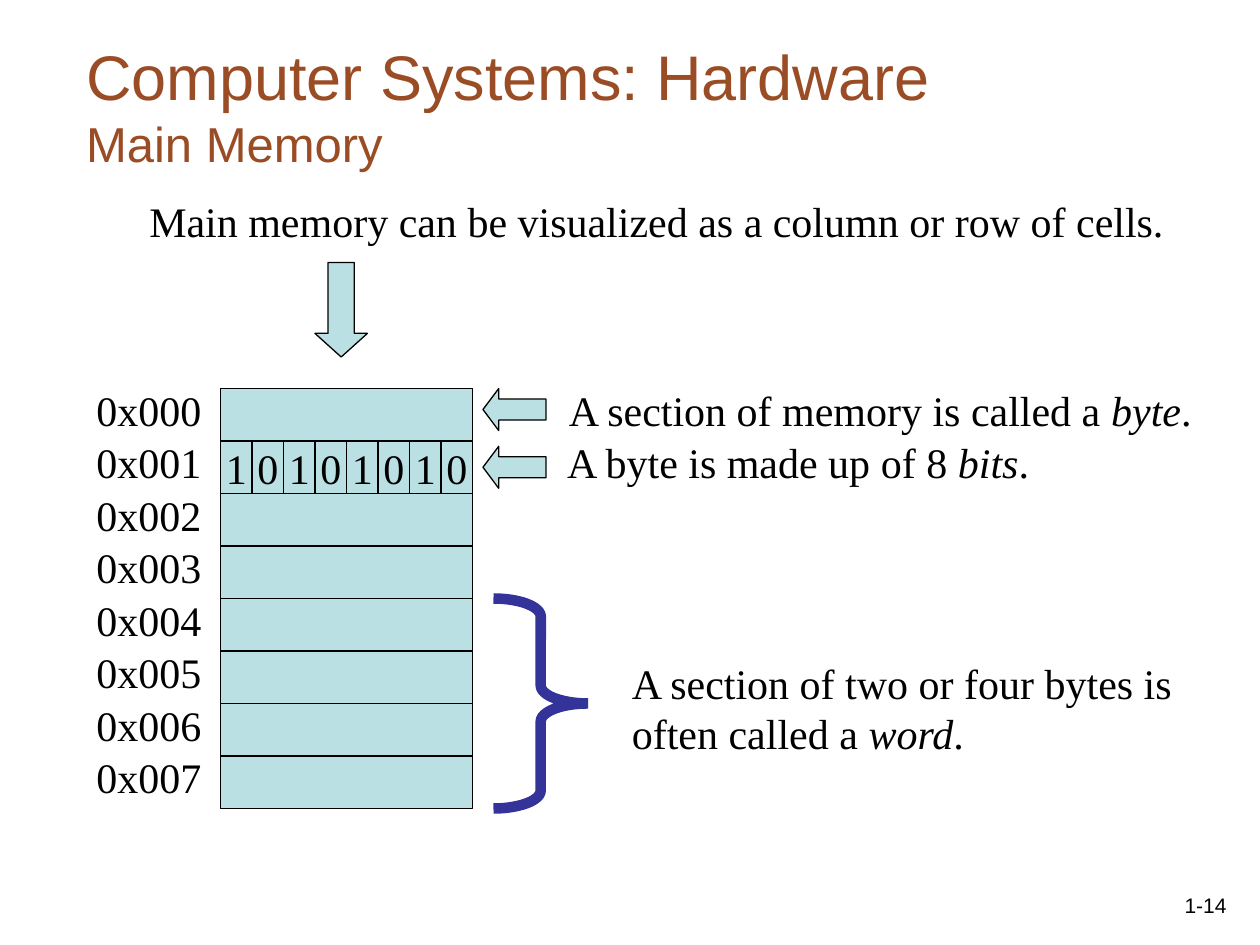
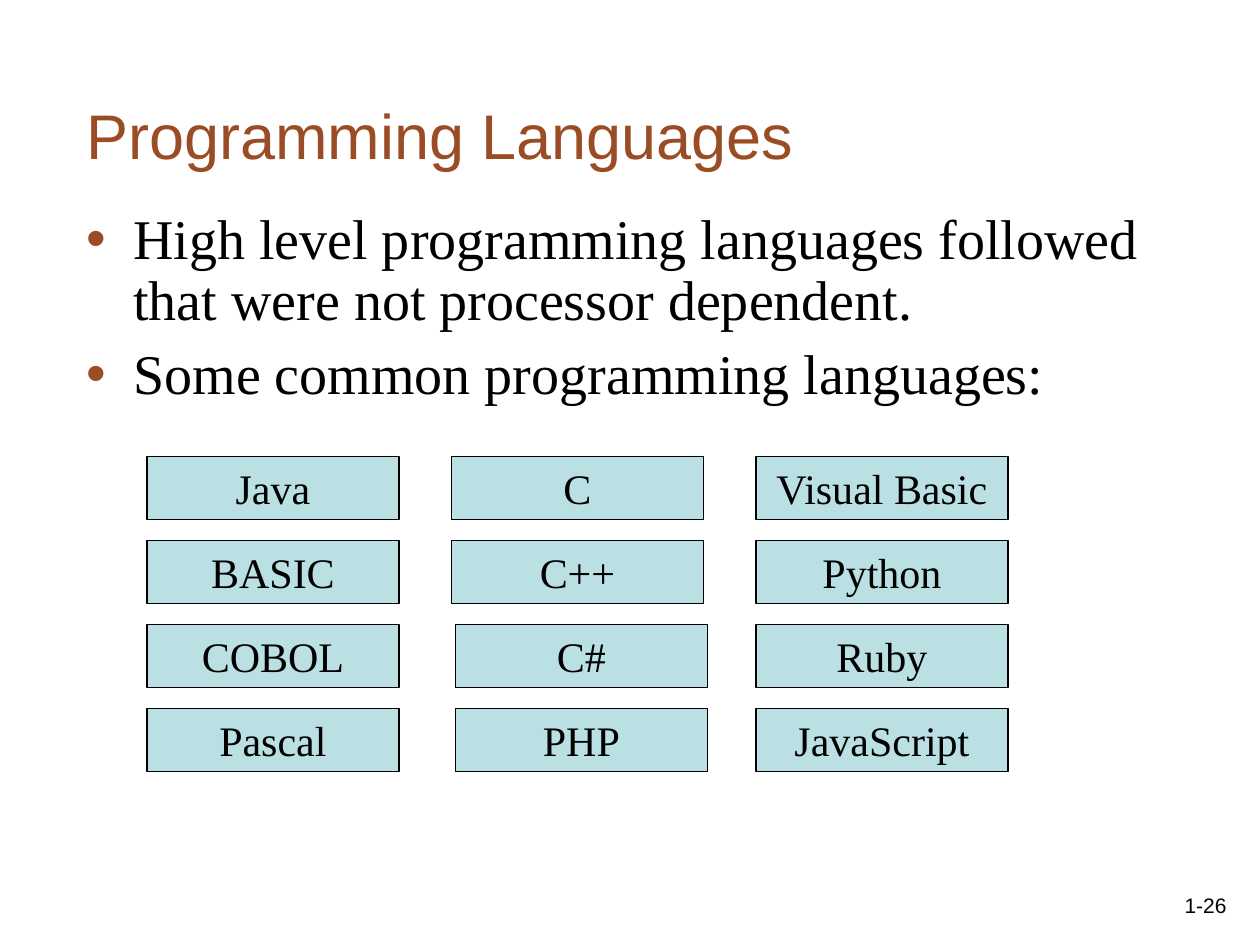
from lxml.etree import SubElement
from pptx import Presentation
from pptx.dml.color import RGBColor
from pptx.enum.shapes import MSO_SHAPE
from pptx.enum.text import MSO_ANCHOR, PP_ALIGN
from pptx.oxml.ns import qn
from pptx.util import Pt

BROWN = RGBColor(0x9A, 0x4C, 0x25)
PALE_TEAL = RGBColor(0xBB, 0xE0, 0xE3)
INDIGO = RGBColor(0x33, 0x33, 0x99)
BLACK = RGBColor(0, 0, 0)

TITLE_FONT = {"name": "Arial", "size": Pt(36), "bold": False}
SUBTITLE_FONT = {**TITLE_FONT, "size": Pt(28)}
NUMBER_FONT = {"name": "Arial", "size": Pt(12)}
TEXT_FONT = {"name": "Times New Roman", "size": Pt(24)}
ITALIC_FONT = {**TEXT_FONT, "italic": True}
BULLET_FONT = {**TEXT_FONT, "size": Pt(32)}
BULLET_SPACING = {"line_spacing": 0.9, "space_before": Pt(8)}

TITLE_ONLY, TITLE_AND_CONTENT = 5, 1
MEMORY_LEFT, MEMORY_TOP, BYTE_WIDTH, BYTE_HEIGHT = 126, 222, 144, 30
BYTE_COUNT = 8
BITS = "10101010"
BIT_WIDTH = BYTE_WIDTH / len(BITS)
BIT_ROW_TOP = MEMORY_TOP + BYTE_HEIGHT

LANGUAGE_COLUMNS = (
    ("Java", "BASIC", "COBOL", "Pascal"),
    ("C", "C++", "C#", "PHP"),
    ("Visual Basic", "Python", "Ruby", "JavaScript"),
)
LANGUAGE_SHIFT = {"C#": 2.25, "PHP": 2.25}


def set_format(target, values):
    for name, value in values.items():
        setattr(target, name, value)


def place(shape, left, top, width, height):
    set_format(shape, {"left": Pt(left), "top": Pt(top),
                       "width": Pt(width), "height": Pt(height)})


def add_span(para, text, font, color=BLACK):
    span = para.add_run()
    span.text = text
    set_format(span.font, font)
    span.font.color.rgb = color


def add_text(page, bounds, *spans, font=TEXT_FONT, wrap=False,
             anchor=MSO_ANCHOR.TOP, align=PP_ALIGN.LEFT):
    box = page.shapes.add_textbox(*map(Pt, bounds))
    set_format(box.text_frame, {"word_wrap": wrap, "vertical_anchor": anchor})
    para = box.text_frame.paragraphs[0]
    para.alignment = align
    for position, text in enumerate(spans):
        add_span(para, text, ITALIC_FONT if position % 2 else font)


def add_figure(page, kind, bounds, adjustments=(), fill=PALE_TEAL,
               line=BLACK, line_width=0.75):
    figure = page.shapes.add_shape(kind, *map(Pt, bounds))
    figure.shadow.inherit = False
    for position, value in enumerate(adjustments):
        figure.adjustments[position] = value
    if fill is None:
        figure.fill.background()
    else:
        figure.fill.solid()
        figure.fill.fore_color.rgb = fill
    figure.line.color.rgb = line
    figure.line.width = Pt(line_width)
    return figure


def add_brace(page, bounds):
    brace = add_figure(page, MSO_SHAPE.RIGHT_BRACE, bounds, (0.19, 0.5),
                       fill=None, line=INDIGO, line_width=6)
    SubElement(brace.line._get_or_add_ln(), qn("a:bevel"))


def add_cell(page, bounds, text="", wrap=True, anchor=MSO_ANCHOR.MIDDLE):
    cell = add_figure(page, MSO_SHAPE.RECTANGLE, bounds)
    if text:
        set_format(cell.text_frame, {"word_wrap": wrap, "vertical_anchor": anchor})
        para = cell.text_frame.paragraphs[0]
        para.alignment = PP_ALIGN.CENTER
        add_span(para, text, TEXT_FONT)


def add_bullet(para, text):
    set_format(para, BULLET_SPACING)
    properties = para._p.get_or_add_pPr()
    properties.set("marL", str(Pt(27)))
    properties.set("indent", str(-Pt(27)))
    color = SubElement(properties, qn("a:buClr"))
    SubElement(color, qn("a:srgbClr"), val=str(BROWN))
    SubElement(properties, qn("a:buFont"), typeface="Arial")
    SubElement(properties, qn("a:buChar"), char="•")
    add_span(para, text, BULLET_FONT)


def add_page(deck, layout, number, title, subtitle=None):
    page = deck.slides.add_slide(deck.slide_layouts[layout])
    heading = page.shapes.title
    place(heading, 42, 24, 678, 78)
    heading.text_frame.vertical_anchor = MSO_ANCHOR.BOTTOM
    para = heading.text_frame.paragraphs[0]
    para.alignment = PP_ALIGN.LEFT
    add_span(para, title, TITLE_FONT, BROWN)
    if subtitle:
        para.add_line_break()
        add_span(para, subtitle, SUBTITLE_FONT, BROWN)
    add_text(page, (558, 492, 150, 36), number, font=NUMBER_FONT, wrap=True,
             anchor=MSO_ANCHOR.BOTTOM, align=PP_ALIGN.RIGHT)
    return page


def add_memory(page):
    for row in range(BYTE_COUNT):
        top = MEMORY_TOP + row * BYTE_HEIGHT
        add_cell(page, (MEMORY_LEFT, top, BYTE_WIDTH, BYTE_HEIGHT))
        add_text(page, (48, top - 6, 75, 36), f"0x{row:03}")
    for column, bit in enumerate(BITS):
        left = MEMORY_LEFT + column * BIT_WIDTH
        add_cell(page, (left, BIT_ROW_TOP, BIT_WIDTH, BYTE_HEIGHT), bit, wrap=False)


def add_memory_page(deck):
    page = add_page(deck, TITLE_ONLY, "1-14",
                    "Computer Systems: Hardware", "Main Memory")
    add_text(page, (78.25, 108, 594, 36),
             "Main memory can be visualized as a column or row of cells.")
    add_figure(page, MSO_SHAPE.DOWN_ARROW, (180, 150, 30, 54), (0.5, 0.45))
    add_memory(page)
    for top in (222, 255):
        add_figure(page, MSO_SHAPE.LEFT_ARROW, (276, top, 36, 24), (0.5, 0.375))
    add_text(page, (318, 216, 371.5, 36),
             "A section of memory is called a ", "byte", ".")
    add_text(page, (317, 246, 279, 36), "A byte is made up of 8 ", "bits", ".")
    add_brace(page, (282, 342, 54, 120))
    add_text(page, (354, 372, 343.5, 65),
             "A section of two or four bytes is often called a ", "word", ".",
             wrap=True)


def add_languages_page(deck):
    page = add_page(deck, TITLE_AND_CONTENT, "1-26", "Programming Languages")
    body = page.placeholders[1]
    place(body, 42, 117, 653, 360)
    frame = body.text_frame
    frame.margin_right = 0
    add_bullet(frame.paragraphs[0],
               "High level programming languages followed that were not "
               "processor dependent.")
    add_bullet(frame.add_paragraph(), "Some common programming languages:")
    for column, names in enumerate(LANGUAGE_COLUMNS):
        for row, name in enumerate(names):
            left = 84 + column * 174 + LANGUAGE_SHIFT.get(name, 0)
            add_cell(page, (left, 260.75 + row * 48, 144, 36), name,
                     anchor=MSO_ANCHOR.TOP)


def main():
    deck = Presentation()
    set_format(deck, {"slide_width": Pt(720), "slide_height": Pt(540)})
    add_memory_page(deck)
    add_languages_page(deck)
    deck.save("out.pptx")


if __name__ == "__main__":
    main()
